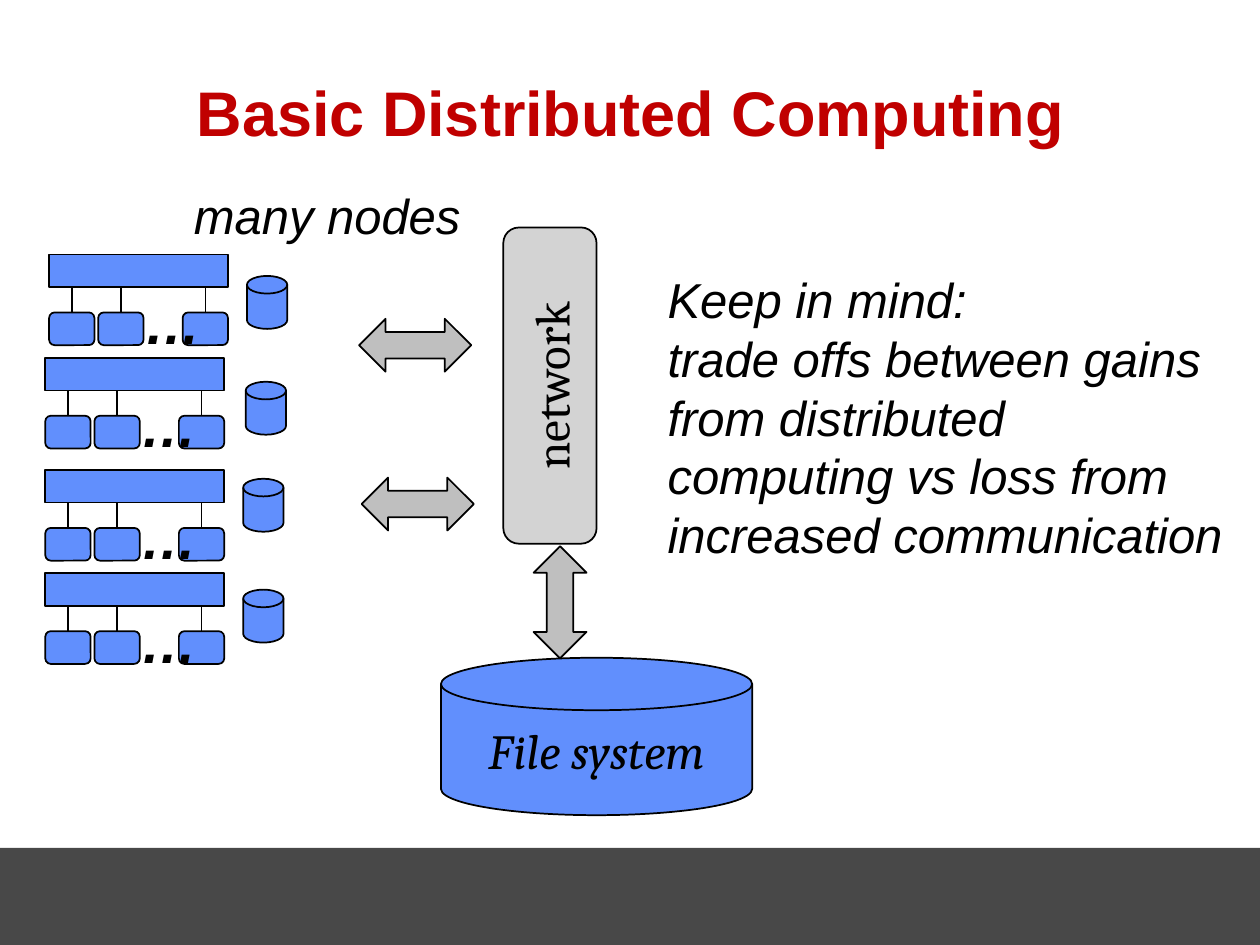
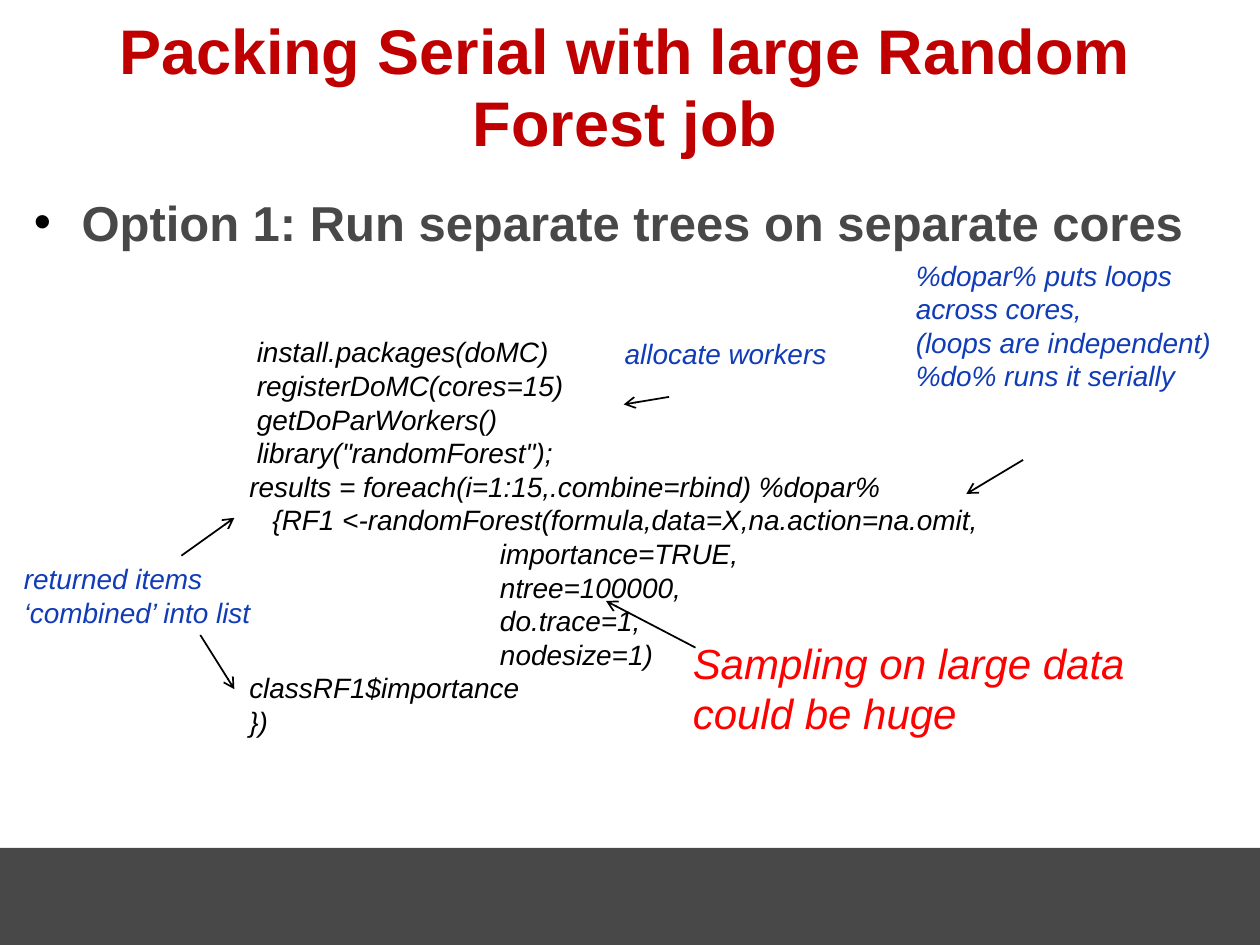
from lxml.etree import SubElement
from pptx import Presentation
from pptx.dml.color import RGBColor
from pptx.enum.shapes import MSO_CONNECTOR, MSO_SHAPE
from pptx.enum.text import MSO_ANCHOR, PP_ALIGN
from pptx.oxml.ns import qn
from pptx.util import Pt

PX = 9144
BLUE, NOTE, GREY, DARK, RED = "618FFD", "113CB7", "BFBFBF", "484848", "C00000"
rgb = RGBColor.from_string


def add_text(sp, text, size=16, color="000000", font="Arial", bold=False, italic=True,
             align=PP_ALIGN.LEFT, anchor=MSO_ANCHOR.TOP, wrap=True, pitch=1.2):
    tf = sp.text_frame
    tf.word_wrap = wrap
    tf.vertical_anchor = anchor
    for i, line in enumerate(text.split("\n")):
        p = tf.add_paragraph() if i else tf.paragraphs[0]
        p.alignment = align
        p.line_spacing = Pt(round(size * pitch, 1))
        r = p.add_run()
        r.text = line
        r.font.name, r.font.size = font, Pt(size)
        r.font.bold, r.font.italic = bold, italic
        r.font.color.rgb = rgb(color)
    return tf


def add_box(s, kind, x, y, w, h, fill=None, line="000000", rotation=0):
    if kind is None:
        return s.shapes.add_textbox(x * PX, y * PX, w * PX, h * PX)
    sp = s.shapes.add_shape(kind, x * PX, y * PX, w * PX, h * PX)
    sp.shadow.inherit = False
    sp.rotation = rotation
    sp.fill.solid()
    sp.fill.fore_color.rgb = rgb(fill)
    if line:
        sp.line.color.rgb = rgb(line)
        sp.line.width = Pt(1)
    else:
        sp.line.fill.background()
    return sp


prs = Presentation()
prs.slide_width, prs.slide_height = 1000 * PX, 750 * PX

titles = [("Basic Distributed Computing", (17, 33, 967, 114)),
          ("Packing Serial with large Random Forest job", (9, 30, 974, 78))]
for title, place in titles:
    s = prs.slides.add_slide(prs.slide_layouts[6])
    add_box(s, MSO_SHAPE.RECTANGLE, 0, 673, 1000, 77, DARK, None)
    add_text(add_box(s, None, *place), title, size=36, color=RED, bold=True, italic=False,
             align=PP_ALIGN.CENTER, anchor=MSO_ANCHOR.MIDDLE, pitch=1.14)

cluster, forest = prs.slides
links = []
centered = dict(align=PP_ALIGN.CENTER, anchor=MSO_ANCHOR.MIDDLE)

for x, y in [(39, 202), (36, 284), (36, 373), (36, 455)]:
    add_box(cluster, MSO_SHAPE.RECTANGLE, x, y, 142, 26, BLUE)
    for dx in (0, 39, 106):
        core = add_box(cluster, MSO_SHAPE.ROUNDED_RECTANGLE, x + dx, y + 46, 36, 26, BLUE)
        mid = (x + dx + 18) * PX
        c = cluster.shapes.add_connector(MSO_CONNECTOR.STRAIGHT, mid, (y + 26) * PX,
                                         mid, (y + 46) * PX)
        c.end_connect(core, 0)
        links.append(c)
    add_text(add_box(cluster, None, x + 66, y + 22, 64, 60), "…", size=32, bold=True,
             wrap=False)

for x, y in [(196, 219), (195, 303), (193, 380), (193, 468)]:
    add_box(cluster, MSO_SHAPE.FLOWCHART_MAGNETIC_DISK, x, y, 32, 42, BLUE)

for x, y, rotation in [(285, 253, 0), (287, 379, 0), (400, 457, 270)]:
    add_box(cluster, MSO_SHAPE.LEFT_RIGHT_ARROW, x, y, 89, 42, GREY, rotation=rotation)

network = add_box(cluster, MSO_SHAPE.ROUNDED_RECTANGLE, 311, 269, 251, 74, "D3D3D3", rotation=270)
add_text(network, "network", size=28, font="Cambria", italic=False, **centered)
storage = add_box(cluster, MSO_SHAPE.FLOWCHART_MAGNETIC_DISK, 350, 522, 247, 125, BLUE)
add_text(storage, "File system", size=28, font="Cambria", **centered)
add_text(add_box(cluster, None, 144, 142, 235, 57), "many nodes", size=28, wrap=False)
add_text(add_box(cluster, None, 520, 209, 466, 246),
         "Keep in mind:\ntrade offs between gains from distributed computing vs loss from "
         "increased communication", size=28)

tf = add_text(add_box(forest, None, 17, 150, 967, 75),
              "Option 1: Run separate trees on separate cores", size=28, color=DARK,
              bold=True, italic=False, pitch=1.14)
pPr = tf.paragraphs[0]._p.get_or_add_pPr()
pPr.set("marL", str(38 * PX))
pPr.set("indent", str(-38 * PX))
SubElement(SubElement(pPr, qn("a:buClr")), qn("a:srgbClr"), val="000000")
SubElement(pPr, qn("a:buFont"), typeface="Arial")
SubElement(pPr, qn("a:buChar"), char="•")

code = [(50, "install.packages(doMC)"),
        (50, "registerDoMC(cores=15)"),
        (50, "getDoParWorkers()"),
        (50, 'library("randomForest");'),
        (44, "results = foreach(i=1:15,.combine=rbind) %dopar%"),
        (44, "   {RF1 <-randomForest(formula,data=X,na.action=na.omit,"),
        (243, "importance=TRUE,"),
        (243, "ntree=100000,"),
        (243, "do.trace=1,"),
        (243, "nodesize=1)"),
        (44, "classRF1$importance"),
        (44, "})")]
tf = add_text(add_box(forest, None, 144, 261, 723, 404), "\n".join(line for _, line in code),
              wrap=False)
for p, (indent, _) in zip(tf.paragraphs, code):
    p._p.get_or_add_pPr().set("marL", str(indent * PX))

notes = [((486, 262, 203, 40), "allocate workers", 16, NOTE),
         ((540, 501, 376, 91), "Sampling on large data\ncould be huge", 24, "FF0000"),
         ((9, 441, 238, 71), "returned items ‘combined’ into list", 16, NOTE),
         ((717, 200, 267, 165), "%dopar% puts loops across cores,\n(loops are independent)\n"
          "%do% runs it serially", 16, NOTE)]
for place, text, size, color in notes:
    add_text(add_box(forest, None, *place), text, size=size, color=color)

pointers = [(159, 504, 186, 547), (144, 441, 186, 411), (531, 315, 495, 321),
            (552, 514, 481, 477), (812, 365, 767, 392)]
for ends in pointers:
    c = forest.shapes.add_connector(MSO_CONNECTOR.STRAIGHT, *(v * PX for v in ends))
    SubElement(c.line._get_or_add_ln(), qn("a:tailEnd"), type="arrow")
    links.append(c)

for c in links:
    c.line.color.rgb = rgb("000000")
    c.line.width = Pt(1)
    SubElement(c._element.spPr, qn("a:effectLst"))

prs.save("out.pptx")
